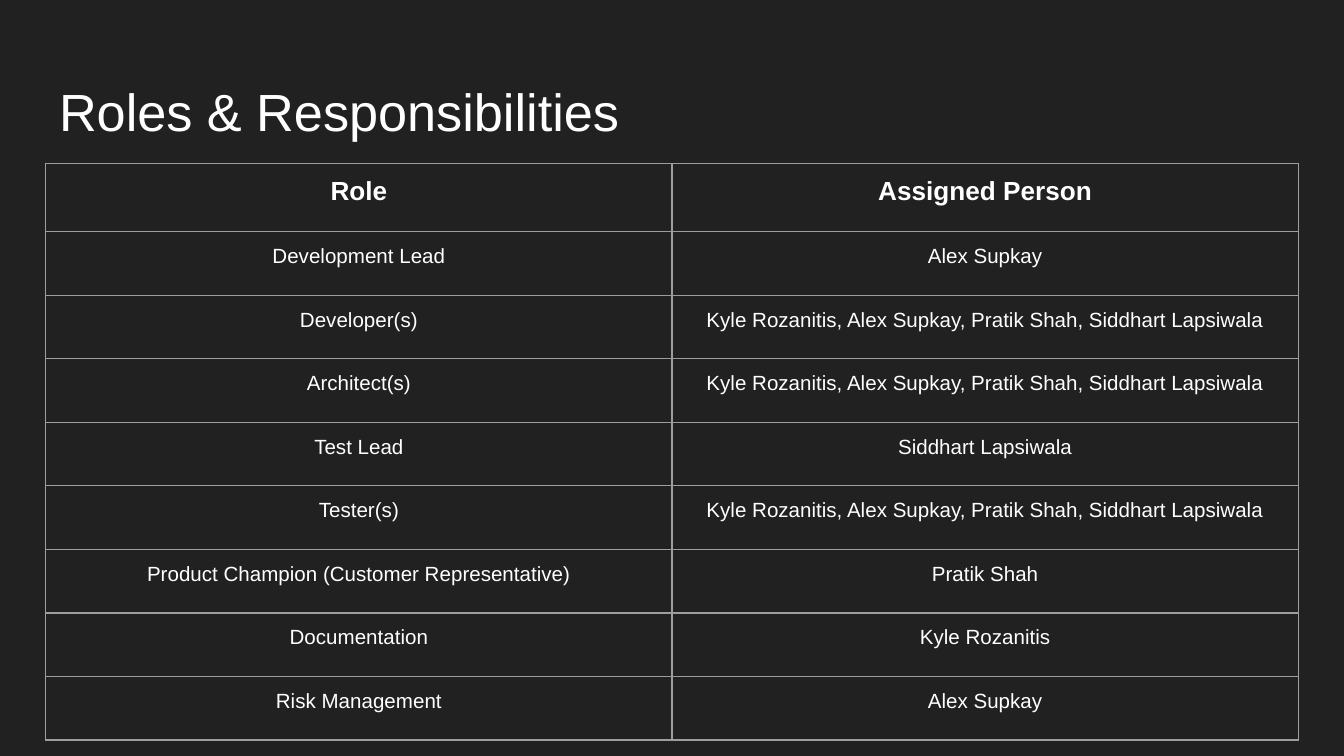
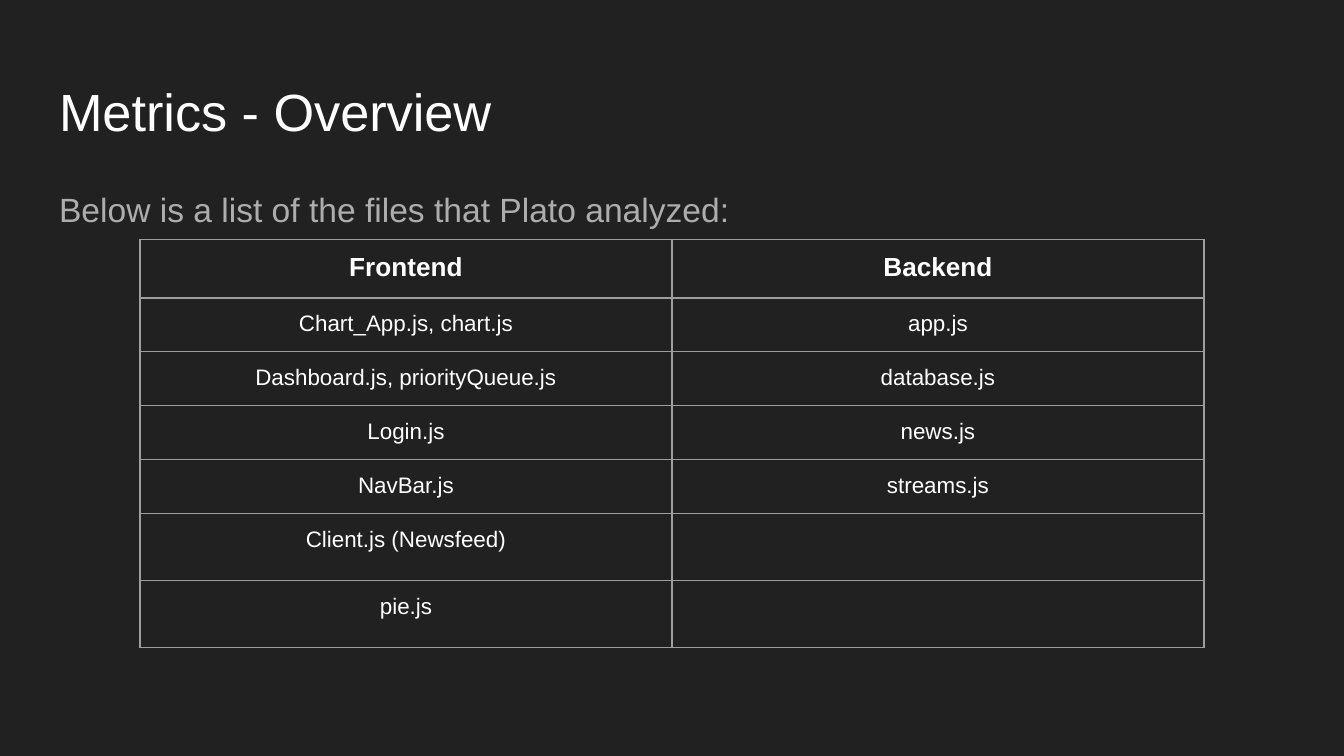
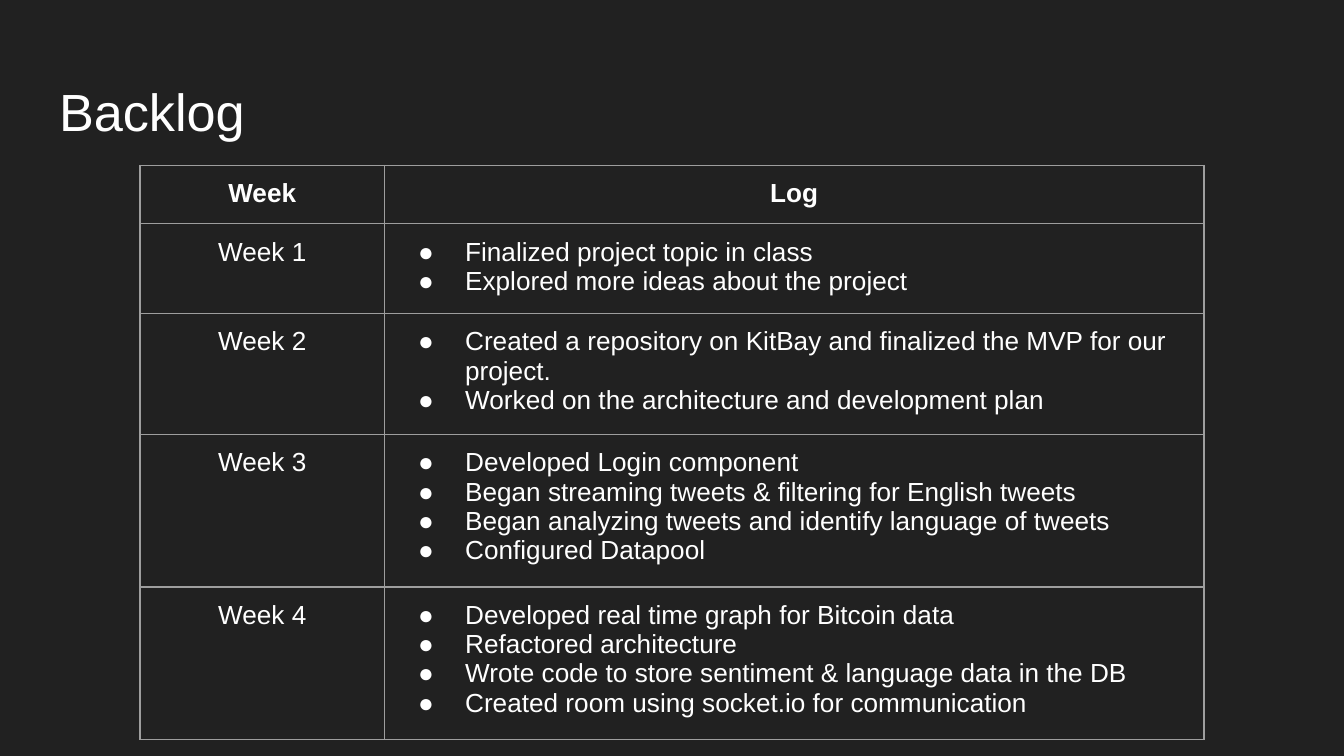
from dataclasses import dataclass

from lxml import etree
from pptx import Presentation
from pptx.dml.color import RGBColor
from pptx.enum import text as t
from pptx.oxml.ns import qn
from pptx.util import Pt


@dataclass(frozen=True)
class Theme:
    font: str = "Arial"
    background: str = "212121"
    text: str = "FFFFFF"
    muted: str = "ADADAD"
    border: str = "9E9E9E"
    border_width: float = 0.75
    title_size: float = 28
    body_size: float = 18
    header_size: float = 14
    inset: float = 7.2
    bullet_margin: float = 36
    bullet_hang: float = 25.2


@dataclass(frozen=True)
class Box:
    left: float
    top: float
    width: float
    height: float


@dataclass(frozen=True)
class TableSpec:
    left: float
    top: float
    columns: tuple[float, ...]
    heights: list[float]
    size: float
    rows: list[tuple]


THEME = Theme()
TITLE_BOX = Box(24.54, 35.04, 670.92, 45.1)
INTRO_BOX = Box(24.54, 90.75, 670.92, 272.15)
TEAM = "Kyle Rozanitis, Alex Supkay, Pratik Shah, Siddhart Lapsiwala"
LOG_LINES = (1, 2, 3, 4, 4)
LOG_LINE_HEIGHT = 15.72

ROLES = TableSpec(24.54, 87.7, (335.5, 335.5), [36.4] + [34.06] * 8, 11, [
    ("Role", "Assigned Person"),
    ("Development Lead", "Alex Supkay"),
    ("Developer(s)", TEAM),
    ("Architect(s)", TEAM),
    ("Test Lead", "Siddhart Lapsiwala"),
    ("Tester(s)", TEAM),
    ("Product Champion (Customer Representative)", "Pratik Shah"),
    ("Documentation", "Kyle Rozanitis"),
    ("Risk Management", "Alex Supkay"),
])

FILES = TableSpec(75, 128.4, (285, 285), [30.1] + [27.75] * 4 + [34.6] * 2, 12, [
    ("Frontend", "Backend"),
    ("Chart_App.js, chart.js", "app.js"),
    ("Dashboard.js, priorityQueue.js", "database.js"),
    ("Login.js", "news.js"),
    ("NavBar.js", "streams.js"),
    ("Client.js (Newsfeed)", ""),
    ("pie.js", ""),
])

BACKLOG = TableSpec(75, 88.7, (131, 439),
                    [n * LOG_LINE_HEIGHT + 2 * THEME.inset for n in LOG_LINES], 14, [
    ("Week", "Log"),
    ("Week 1", ["Finalized project topic in class",
                "Explored more ideas about the project"]),
    ("Week 2", ["Created a repository on KitBay and finalized the MVP for our project.",
                "Worked on the architecture and development plan"]),
    ("Week 3", ["Developed Login component",
                "Began streaming tweets & filtering for English tweets",
                "Began analyzing tweets and identify language of tweets",
                "Configured Datapool"]),
    ("Week 4", ["Developed real time graph for Bitcoin data",
                "Refactored architecture",
                "Wrote code to store sentiment & language data in the DB",
                "Created room using socket.io for communication"]),
])


def write(p, text: str, *, size: float, color: str = THEME.text, bold: bool = False,
          align=t.PP_ALIGN.LEFT, spacing: float | None = None) -> None:
    p.alignment = align
    if spacing:
        p.line_spacing = spacing
    r = p.add_run()
    r.text = text
    r.font.name = THEME.font
    r.font.size = Pt(size)
    r.font.bold = bold
    r.font.color.rgb = RGBColor.from_string(color)


def set_insets(target) -> None:
    for side in ("left", "top", "right", "bottom"):
        setattr(target, f"margin_{side}", Pt(THEME.inset))


def add_text(s, box: Box, text: str, **fmt) -> None:
    sp = s.shapes.add_textbox(Pt(box.left), Pt(box.top), Pt(box.width), Pt(box.height))
    tf = sp.text_frame
    tf.word_wrap = True
    set_insets(tf)
    write(tf.paragraphs[0], text, **fmt)


def add_bullet(p, size: float) -> None:
    pPr = p._p.get_or_add_pPr()
    pPr.set("marL", str(Pt(THEME.bullet_margin)))
    pPr.set("indent", str(-Pt(THEME.bullet_hang)))
    color = etree.SubElement(pPr, qn("a:buClr"))
    etree.SubElement(color, qn("a:srgbClr"), val=THEME.text)
    etree.SubElement(pPr, qn("a:buSzPts"), val=str(round(size * 100)))
    etree.SubElement(pPr, qn("a:buFont"), typeface=THEME.font)
    etree.SubElement(pPr, qn("a:buChar"), char="●")


def style_cell(cell) -> None:
    tcPr = cell._tc.get_or_add_tcPr()
    for side in "LRTB":
        line = etree.SubElement(tcPr, qn(f"a:ln{side}"), w=str(Pt(THEME.border_width)))
        fill = etree.SubElement(line, qn("a:solidFill"))
        etree.SubElement(fill, qn("a:srgbClr"), val=THEME.border)
    cell.fill.background()
    set_insets(cell)


def fill_cell(cell, content: str | list[str], size: float, bold: bool) -> None:
    tf = cell.text_frame
    if isinstance(content, list):
        for i, item in enumerate(content):
            p = tf.add_paragraph() if i else tf.paragraphs[0]
            write(p, item, size=size)
            add_bullet(p, size)
    elif content:
        write(tf.paragraphs[0], content, size=size, bold=bold, align=t.PP_ALIGN.CENTER)


def add_table(s, spec: TableSpec) -> None:
    table = s.shapes.add_table(len(spec.rows), len(spec.columns), Pt(spec.left), Pt(spec.top),
                               Pt(sum(spec.columns)), Pt(sum(spec.heights))).table
    table.first_row = table.horz_banding = False
    for column, width in zip(table.columns, spec.columns):
        column.width = Pt(width)
    for i, (row, height, contents) in enumerate(zip(table.rows, spec.heights, spec.rows)):
        row.height = Pt(height)
        header = i == 0
        for cell, content in zip(row.cells, contents):
            style_cell(cell)
            fill_cell(cell, content, THEME.header_size if header else spec.size, header)


def add_slide(prs, title: str):
    s = prs.slides.add_slide(prs.slide_layouts[6])
    s.background.fill.solid()
    s.background.fill.fore_color.rgb = RGBColor.from_string(THEME.background)
    add_text(s, TITLE_BOX, title, size=THEME.title_size)
    return s


def main() -> None:
    prs = Presentation()
    prs.slide_width, prs.slide_height = Pt(720), Pt(405)

    add_table(add_slide(prs, "Roles & Responsibilities"), ROLES)

    s = add_slide(prs, "Metrics - Overview")
    add_text(s, INTRO_BOX, "Below is a list of the files that Plato analyzed:",
             size=THEME.body_size, color=THEME.muted, align=t.PP_ALIGN.JUSTIFY, spacing=1.15)
    add_table(s, FILES)

    add_table(add_slide(prs, "Backlog"), BACKLOG)

    prs.save("out.pptx")


if __name__ == "__main__":
    main()
